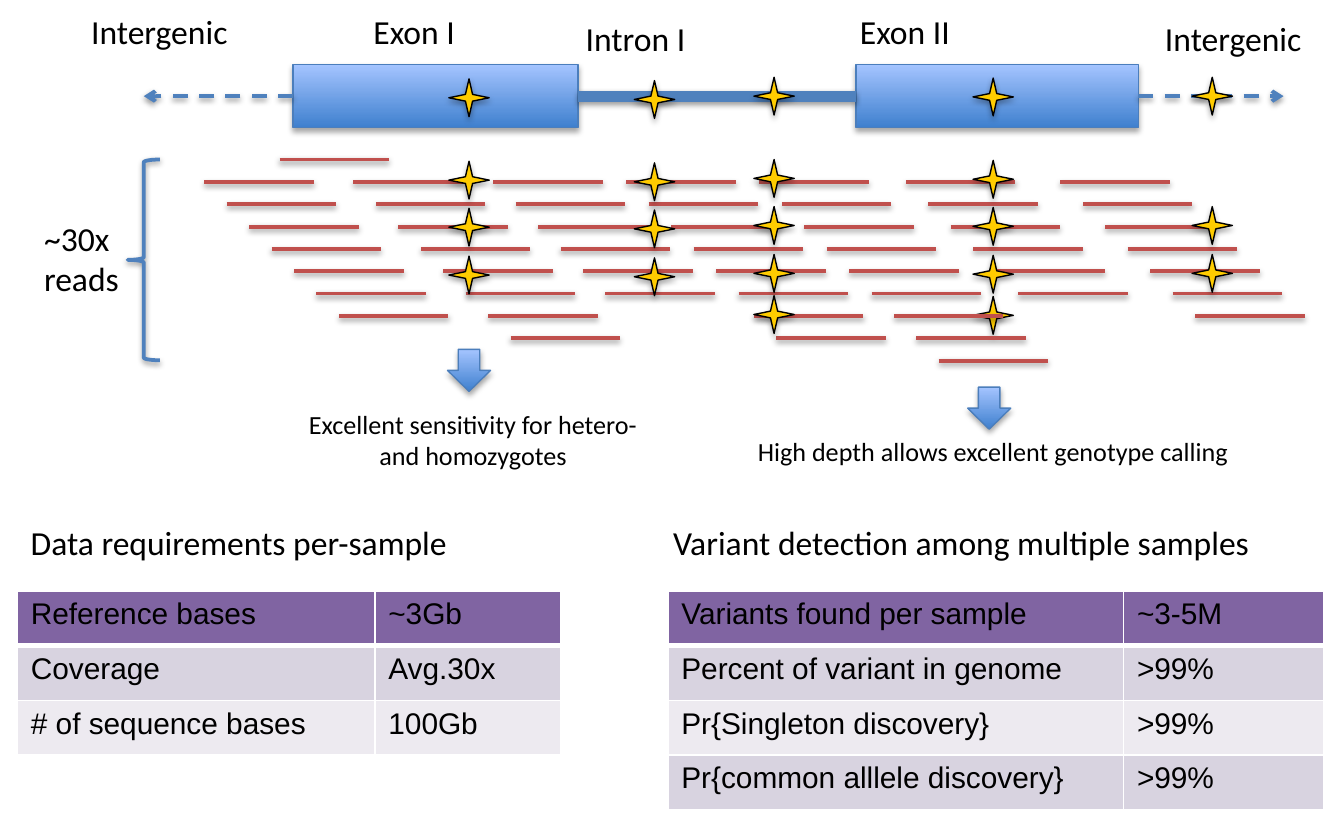
"""Build a slide on gene coverage, sequence reads and variant detection."""
from lxml import etree
from pptx import Presentation, util as u
from pptx.dml.color import RGBColor
from pptx.enum import dml, shapes, text
from pptx.oxml import parse_xml
from pptx.oxml.ns import nsdecls, qn

HUE = {"ink": "000000", "blue": "4F81BD", "edge": "4B7EBC", "deep": "3F80CE",
       "pale": "A4C4FF", "read": "C0504D", "star": "FFCC00", "white": "FFFFFF",
       "head": "8064A2", "odd": "D8D3E0", "even": "EDEAF0"}
FORM = shapes.MSO_SHAPE
LEFT, MID = text.PP_ALIGN.LEFT, text.PP_ALIGN.CENTER

# All places are percent of the slide's width (x) and height (y).
EXONS = [(21.8, 21.2), (63.7, 21)]
GENE_TOP, GENE_TALL = 7.7, 7.5
ENDS = [95.5, 10.7]
NOTES = [
    (["Intron I"], 42.6, 1.3, 9.6, 6.4, 18, LEFT, False),
    (["Exon II"], 63, 0.5, 8.8, 6.4, 18, LEFT, False),
    (["Exon I"], 26.8, 0.5, 8.2, 6.4, 18, LEFT, False),
    (["Intergenic"], 5.8, 0.5, 12.4, 6.4, 18, LEFT, False),
    (["Intergenic"], 85.7, 1.3, 12.4, 6.4, 18, LEFT, False),
    (["~30x", "reads"], 2.3, 25.1, 7.7, 11.3, 18, LEFT, True),
    (["Excellent sensitivity for hetero-", "and homozygotes"],
     21.8, 47.8, 26.8, 9.2, 14, MID, False),
    (["High depth allows excellent genotype calling"],
     55.2, 51, 37.4, 5.4, 14, MID, False),
    (["Data requirements per-sample"], 1.3, 61.4, 34, 6.4, 18, LEFT, False),
    (["Variant detection among multiple samples"],
     49.1, 61.4, 45.5, 6.4, 18, LEFT, False),
]
READ_TOP, READ_STEP, READ_SHIFT, READ_WIDE = 19, 2.66, 1.67, 8.15
BACK = [(15.2, 1, 7), (26.3, 1, 8), (20.8, 0, 1), (36.7, 1, 6), (56.1, 7, 2),
        (56.5, 1, 6), (46.6, 1, 6), (67.4, 1, 6), (78.9, 1, 7)]
FRONT = [(66.5, 7, 3)]
DROPS = [0, 9.8, 15.4, 21.1, 26]
STARS = [(33.4, 9.4, [0, 1, 2, 3]), (47.2, 9.6, [0, 1, 2, 3]),
         (56.1, 9.2, [0, 1, 2, 3, 4]), (72.4, 9.3, [0, 1, 2, 3, 4]),
         (88.7, 9.2, [0, 2, 3])]
ARROWS = [(33.3, 41.6), (72, 46.1)]
ROW = 6.5
TABLES = [
    (1.3, 70.4, [26.6, 13.8], [
        ("Reference bases", "~3Gb"), ("Coverage", "Avg.30x"),
        ("# of sequence bases", "100Gb")]),
    (49.7, 70.4, [33.9, 14.9], [
        ("Variants found per sample", "~3-5M"),
        ("Percent of variant in genome", ">99%"),
        ("Pr{Singleton discovery}", ">99%"),
        ("Pr{common alllele discovery}", ">99%")]),
]

deck = Presentation()
deck.slide_width, deck.slide_height = u.Inches(10), u.Inches(6.25)
slide = deck.slides.add_slide(deck.slide_layouts[6])


def across(x):
    return round(deck.slide_width * x / 100)


def down(y):
    return round(deck.slide_height * y / 100)


def place(x, y, wide, tall):
    return across(x), down(y), across(wide), down(tall)


def tint(name):
    return RGBColor.from_string(HUE[name])


def shade(item, alpha, drop):
    props = item._element.spPr
    for old in props.findall(qn("a:effectLst")):
        props.remove(old)
    props.append(parse_xml(
        f'<a:effectLst {nsdecls("a")}><a:outerShdw blurRad="{u.Pt(3.1)}" '
        f'dist="{u.Pt(drop)}" dir="5400000" rotWithShape="0"><a:srgbClr val="{HUE["ink"]}">'
        f'<a:alpha val="{alpha}000"/></a:srgbClr></a:outerShdw></a:effectLst>'))


def shape(home, form, box, fill, edge, width=0.75, alpha=35, drop=1.8):
    item = home.add_shape(form, *place(*box))
    if fill == "blend":
        item.fill.gradient()
        item.fill.gradient_angle = 90
        for stop, name in zip(item.fill.gradient_stops, ("deep", "pale")):
            stop.color.rgb = tint(name)
    elif fill:
        item.fill.solid()
        item.fill.fore_color.rgb = tint(fill)
    else:
        item.fill.background()
    item.line.color.rgb, item.line.width = tint(edge), u.Pt(width)
    shade(item, alpha, drop)
    return item


def line(home, start, end, name, width=2, arrow=False):
    item = home.add_connector(shapes.MSO_CONNECTOR.STRAIGHT, across(start[0]),
                              down(start[1]), across(end[0]), down(end[1]))
    item.line.color.rgb, item.line.width = tint(name), u.Pt(width)
    if arrow:
        item.line.dash_style = dml.MSO_LINE.DASH
        etree.SubElement(item.line._get_or_add_ln(), qn("a:tailEnd"), type="arrow")
    shade(item, 38, 1.6)
    return item


def write(para, words, size, font):
    run = para.add_run()
    run.text = words
    run.font.size, run.font.name, run.font.bold = u.Pt(size), font, False
    run.font.color.rgb = tint("ink")


def note(lines, x, y, wide, tall, size, align, wrap):
    frame = slide.shapes.add_textbox(*place(x, y, wide, tall)).text_frame
    frame.word_wrap = wrap
    frame.auto_size = text.MSO_AUTO_SIZE.SHAPE_TO_FIT_TEXT
    for i, words in enumerate(lines):
        para = frame.add_paragraph() if i else frame.paragraphs[0]
        para.alignment = align
        write(para, words, size, "Calibri")


def reads(home, runs):
    for x, first, count in runs:
        for i in range(count):
            left, y = x + i * READ_SHIFT, READ_TOP + (first + i) * READ_STEP
            line(home, (left, y), (left + READ_WIDE, y), "read")


def border(cell, row):
    for side in "LRTB":
        thick = 3 if (row, side) in ((0, "B"), (1, "T")) else 1
        cell._tc.get_or_add_tcPr().append(parse_xml(
            f'<a:ln{side} {nsdecls("a")} w="{u.Pt(thick)}"><a:solidFill>'
            f'<a:srgbClr val="{HUE["white"]}"/></a:solidFill></a:ln{side}>'))


def grid(x, y, cols, rows):
    table = slide.shapes.add_table(
        len(rows), len(cols), *place(x, y, sum(cols), ROW * len(rows))).table
    table.first_row = table.horz_banding = False
    for col, wide in zip(table.columns, cols):
        col.width = across(wide)
    for r, words in enumerate(rows):
        table.rows[r].height = down(ROW)
        for c, word in enumerate(words):
            cell = table.cell(r, c)
            border(cell, r)
            cell.fill.solid()
            cell.fill.fore_color.rgb = tint("head" if r == 0 else "odd" if r % 2 else "even")
            write(cell.text_frame.paragraphs[0], word, 16, "Arial")


def gene(home):
    one, two = [shape(home, FORM.RECTANGLE, (x, GENE_TOP, wide, GENE_TALL), "blend", "edge")
                for x, wide in EXONS]
    axis = GENE_TOP + GENE_TALL / 2
    (left, wide), (right, span) = EXONS
    intron = line(home, (left + wide, axis), (right, axis), "blue", 6)
    intron.begin_connect(one, 3)
    intron.end_connect(two, 1)
    for exon, side, x, end in ((two, 3, right + span, ENDS[0]), (one, 1, left, ENDS[1])):
        line(home, (x, axis), (end, axis), "blue", arrow=True).begin_connect(exon, side)


gene(slide.shapes.add_group_shape().shapes)
reads(slide.shapes.add_group_shape().shapes, BACK)
for x, top, levels in STARS:
    for level in levels:
        shape(slide.shapes, FORM.STAR_4_POINT, (x, top + DROPS[level], 3, 4.5), "star", "ink")
reads(slide.shapes, FRONT)
shape(slide.shapes, FORM.LEFT_BRACE, (9.5, 19, 2.4, 23.9), None, "blue", 2, 38, 1.6)
for x, y in ARROWS:
    shape(slide.shapes, FORM.DOWN_ARROW, (x, y, 3.2, 5), "blend", "edge")
for entry in NOTES:
    note(*entry)
for entry in TABLES:
    grid(*entry)
deck.save("out.pptx")
